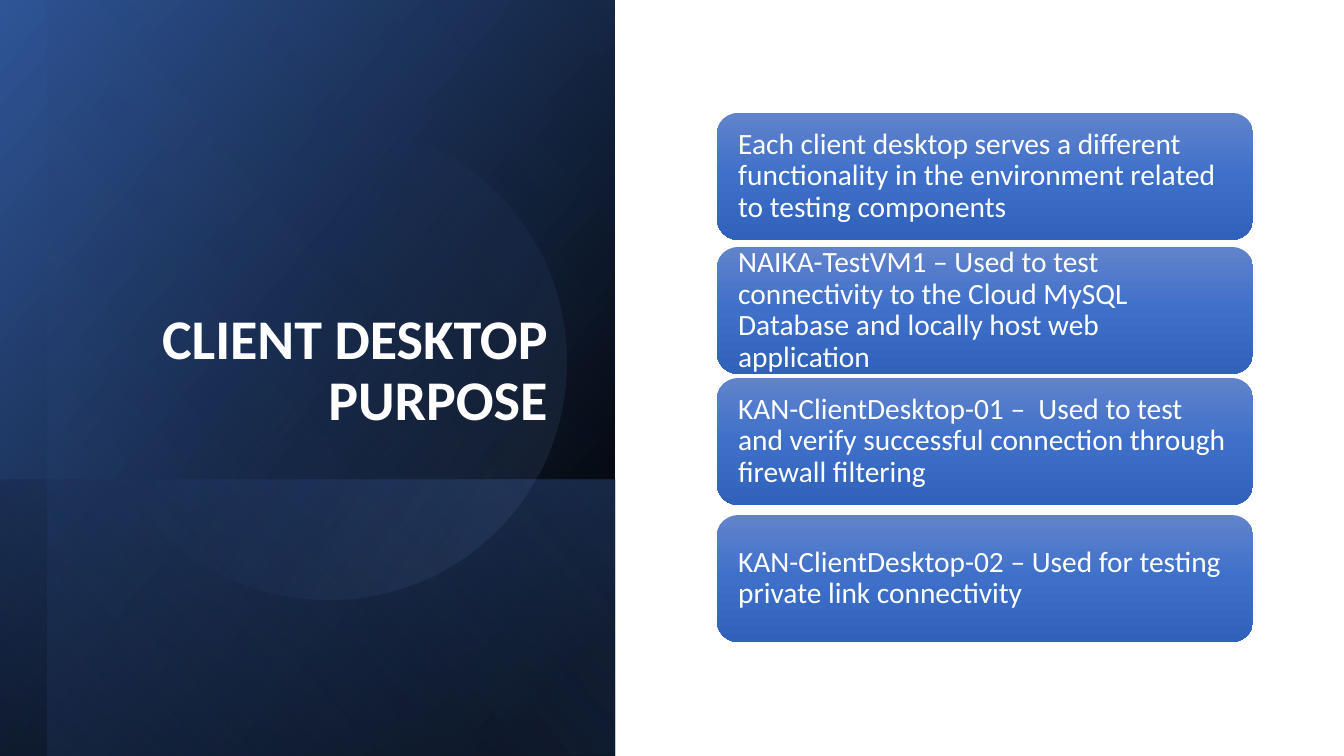
"""Build the client desktop purpose slide."""
from lxml import etree
from pptx import Presentation
from pptx.dml.color import RGBColor
from pptx.enum.shapes import MSO_SHAPE
from pptx.enum.text import MSO_ANCHOR, PP_ALIGN
from pptx.oxml.ns import qn
from pptx.util import Inches, Pt

RECT, OVAL, ROUND = MSO_SHAPE.RECTANGLE, MSO_SHAPE.OVAL, MSO_SHAPE.ROUNDED_RECTANGLE
MIDDLE, BOTTOM = MSO_ANCHOR.MIDDLE, MSO_ANCHOR.BOTTOM
LEFT, RIGHT = PP_ALIGN.LEFT, PP_ALIGN.RIGHT

TITLE = "CLIENT DESKTOP PURPOSE"
CARDS = [
    (1.12, "Each client desktop serves a different functionality in the environment related to testing components"),
    (2.45, "NAIKA-TestVM1 – Used to test connectivity to the Cloud MySQL Database and locally host web application"),
    (3.75, "KAN-ClientDesktop-01 –  Used to test and verify successful connection through firewall filtering"),
    (5.11, "KAN-ClientDesktop-02 – Used for testing private link connectivity"),
]
COLORS = {
    "white": "FFFFFF", "black": "000000", "navy": "2F5597", "blue": "4472C4",
    "pale": "8FAADC", "card_top": "6183CB", "card_mid": "3E70CA", "card_end": "3062BB",
}
FONT = "Calibri"
SLIDE_W, SLIDE_H = 13.33, 7.5
PANEL_W = 6.1
BAND_TOP, VEIL_LEFT = 4.76, 0.47
CARD_X, CARD_W, CARD_H, CARD_PAD = 7.11, 5.32, 1.26, 0.15

PANELS = [
    ((0, 0, PANEL_W, SLIDE_H), 50, [(8, "black", 100), (100, "navy", 100)]),
    ((0, BAND_TOP, PANEL_W, SLIDE_H - BAND_TOP), 130, [(2, "blue", 29), (100, "black", 30)]),
    ((VEIL_LEFT, 0, PANEL_W - VEIL_LEFT, SLIDE_H), 130, [(0, "black", 0), (99, "blue", 11)]),
]
CIRCLE = (0.9, 1.23, 4.72, 4.72)
CIRCLE_STOPS = [(39, "blue", 0), (100, "pale", 15)]
CARD_STOPS = [(0, "card_top", 100), (50, "card_mid", 100), (100, "card_end", 100)]


def set_gradient(sp, angle, stops):
    sp.fill.solid()
    solid = sp.element.spPr.find(qn("a:solidFill"))
    grad = etree.Element(qn("a:gradFill"), rotWithShape="1")
    stop_list = etree.SubElement(grad, qn("a:gsLst"))
    for pos, color, opacity in stops:
        gs = etree.SubElement(stop_list, qn("a:gs"), pos=str(pos * 1000))
        clr = etree.SubElement(gs, qn("a:srgbClr"), val=COLORS[color])
        if opacity < 100:
            etree.SubElement(clr, qn("a:alpha"), val=str(opacity * 1000))
    etree.SubElement(grad, qn("a:lin"), ang=str(angle * 60000), scaled="0")
    solid.getparent().replace(solid, grad)


def add_shape(slide, kind, box, angle, stops):
    sp = slide.shapes.add_shape(kind, *map(Inches, box))
    sp.shadow.inherit = False
    sp.line.fill.background()
    set_gradient(sp, angle, stops)
    return sp


def add_panel(slide, box, angle, stops):
    x, y, w, h = box
    turned = (x + (w - h) / 2, y + (h - w) / 2, h, w)
    sp = add_shape(slide, RECT, turned, angle, stops)
    sp.rotation = 90
    sp.element.spPr.find(qn("a:xfrm")).set("flipH", "1")


def set_text(sp, text, size, align, anchor, bold=False):
    tf = sp.text_frame
    tf.word_wrap = True
    tf.vertical_anchor = anchor
    p = tf.paragraphs[0]
    p.alignment = align
    p.line_spacing = 0.9
    r = p.add_run()
    r.text = text
    r.font.name = FONT
    r.font.size = Pt(size)
    r.font.bold = bold
    r.font.color.rgb = RGBColor.from_string(COLORS["white"])
    return tf


def main():
    prs = Presentation()
    prs.slide_width, prs.slide_height = Inches(SLIDE_W), Inches(SLIDE_H)
    slide = prs.slides.add_slide(prs.slide_layouts[6])

    for box, angle, stops in PANELS:
        add_panel(slide, box, angle, stops)
    circle = add_shape(slide, OVAL, CIRCLE, 290, CIRCLE_STOPS)
    circle.rotation = 101.6

    title = slide.shapes.add_textbox(*map(Inches, (0.9, 0.64, 4.63, 3.7)))
    set_text(title, TITLE, 40, RIGHT, BOTTOM, bold=True)

    for top, text in CARDS:
        card = add_shape(slide, ROUND, (CARD_X, top, CARD_W, CARD_H), 90, CARD_STOPS)
        tf = set_text(card, text, 21, LEFT, MIDDLE)
        tf.margin_left = tf.margin_right = Inches(CARD_PAD)
        tf.margin_top = tf.margin_bottom = Inches(CARD_PAD)

    prs.save("out.pptx")


if __name__ == "__main__":
    main()
